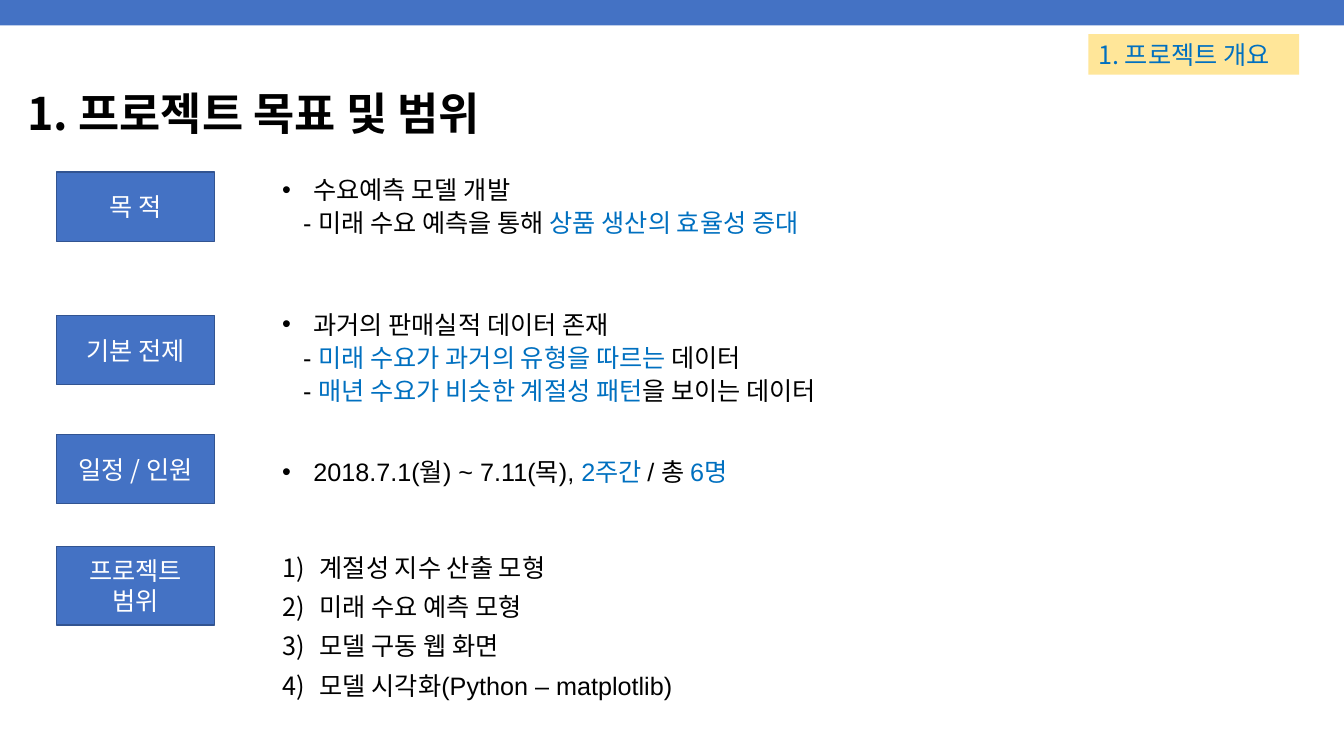
import pptx
import pptx.util
import pptx.dml.color
import pptx.enum.shapes
import pptx.enum.text
import pptx.oxml
import pptx.oxml.ns

Cm = pptx.util.Cm
Pt = pptx.util.Pt
Align = pptx.enum.text.PP_ALIGN
Mid = pptx.enum.text.MSO_ANCHOR.MIDDLE
SANS, ARIAL = "Noto Sans CJK KR", "Arial"
BLUE, EDGE, INK, WHITE, MARK, SAND = "4472C4", "325491", "000000", "FFFFFF", "0070C0", "FFE699"


def color(code):
    """Turn a hex string into a colour."""
    return pptx.dml.color.RGBColor.from_string(code)


def child(parent, tag, **attrs):
    """Append a drawing element with its attributes."""
    node = pptx.oxml.ns.qn("a:" + tag)
    node = parent.makeelement(node, attrs)
    parent.append(node)


def write(par, parts, font=SANS, size=18, ink=INK, bold=False, align=Align.LEFT, space=1.0):
    """Write text, or a list of (text, colour) pairs, into a paragraph."""
    par.alignment = align
    par.line_spacing = space
    for words, tint in [(parts, ink)] if isinstance(parts, str) else parts:
        run = par.add_run()
        run.text = words
        run.font.name = font
        run.font.size = Pt(size)
        run.font.bold = bold
        run.font.color.rgb = color(tint)
        child(run.font._element, "ea", typeface=SANS)


def indent(par, kind):
    """Set the indent and the bullet of a paragraph."""
    left, first = {"dot": (0.79, -0.79), "num": (0.95, -0.95), "sub": (0, 0.53)}[kind]
    props = par._p.get_or_add_pPr()
    props.set("marL", str(Cm(left)))
    props.set("indent", str(Cm(first)))
    if kind == "dot":
        child(props, "buFont", typeface=ARIAL)
        child(props, "buChar", char="•")
    elif kind == "num":
        child(props, "buFont", typeface=SANS)
        child(props, "buAutoNum", type="arabicParenR")
    else:
        child(props, "buNone")


class Page:
    """Hold the slide and draw its elements in one style."""

    def __init__(self, deck):
        """Add a title-only slide to the deck."""
        self.slide = deck.slides.add_slide(deck.slide_layouts[5])

    def title(self, words, *place):
        """Place and fill the title."""
        head = self.slide.shapes.title
        head.left, head.top, head.width, head.height = map(Cm, place)
        head.text_frame.vertical_anchor = Mid
        write(head.text_frame.paragraphs[0], words, size=32, bold=True, space=0.9)

    def rect(self, *place, fill=BLUE, edge=None):
        """Draw a flat rectangle."""
        box = self.slide.shapes.add_shape(
            pptx.enum.shapes.MSO_SHAPE.RECTANGLE, *map(Cm, place))
        box.shadow.inherit = False
        box.fill.solid()
        box.fill.fore_color.rgb = color(fill)
        if edge:
            box.line.color.rgb = color(edge)
            box.line.width = Pt(1)
        else:
            box.line.fill.background()
        return box

    def label(self, lines, top, high):
        """Draw a blue section label."""
        frame = self.rect(1.42, top, 3.99, high, edge=EDGE).text_frame
        frame.vertical_anchor = Mid
        for i, line in enumerate(lines):
            par = frame.add_paragraph() if i else frame.paragraphs[0]
            write(par, line, ink=WHITE, align=Align.CENTER)

    def tag(self, words, *place):
        """Draw the chapter tag."""
        frame = self.rect(*place, fill=SAND).text_frame
        frame.word_wrap = False
        frame.vertical_anchor = pptx.enum.text.MSO_ANCHOR.TOP
        write(frame.paragraphs[0], words, ink=MARK)

    def notes(self, rows, top, wide, high, space):
        """Write a list of (kind, text) rows."""
        box = self.slide.shapes.add_textbox(Cm(6.86), Cm(top), Cm(wide), Cm(high))
        frame = box.text_frame
        frame.word_wrap = True
        for i, (kind, parts) in enumerate(rows):
            par = frame.add_paragraph() if i else frame.paragraphs[0]
            write(par, parts, font=ARIAL, space=space)
            indent(par, kind)


LABELS = [
    (["목 적"], 4.34, 1.74),
    (["기본 전제"], 7.95, 1.74),
    (["일정 / 인원"], 10.95, 1.74),
    (["프로젝트", "범위"], 13.77, 1.98),
]
GOAL = [
    ("dot", "수요예측 모델 개발"),
    ("sub", [("- 미래 수요 예측을 통해 ", INK), ("상품 생산의 효율성 증대", MARK)]),
]
BASIS = [
    ("dot", "과거의 판매실적 데이터 존재"),
    ("sub", [("- ", INK), ("미래 수요가 과거의 유형을 따르는 ", MARK), ("데이터", INK)]),
    ("sub", [("- ", INK), ("매년 수요가 비슷한 계절성 패턴", MARK), ("을 보이는 데이터", INK)]),
]
PLAN = [
    ("dot", [("2018.7.1(월) ~ 7.11(목), ", INK), ("2주간 ", MARK), ("/ 총 ", INK), ("6명", MARK)]),
]
SCOPE = [("num", words) for words in (
    "계절성 지수 산출 모형", "미래 수요 예측 모형", "모델 구동 웹 화면",
    "모델 시각화(Python – matplotlib)")]


def main():
    """Build the slide and save it."""
    deck = pptx.Presentation()
    deck.slide_width, deck.slide_height = Cm(33.87), Cm(19.05)
    page = Page(deck)
    page.rect(0, 0, 33.87, 0.64)
    page.title("1. 프로젝트 목표 및 범위", 0.43, 1.8, 32.84, 2.26)
    for label in LABELS:
        page.label(*label)
    page.notes(SCOPE, 13.56, 12.65, 4.14, 1.3)
    page.notes(BASIS, 7.59, 23.67, 2.72, 1.1)
    page.notes(PLAN, 11.3, 21.84, 1.04, 1.1)
    page.notes(GOAL, 4.19, 25.73, 1.88, 1.1)
    page.tag("1. 프로젝트 개요", 27.43, 0.86, 5.31, 1.02)
    deck.save("out.pptx")


if __name__ == "__main__":
    main()
